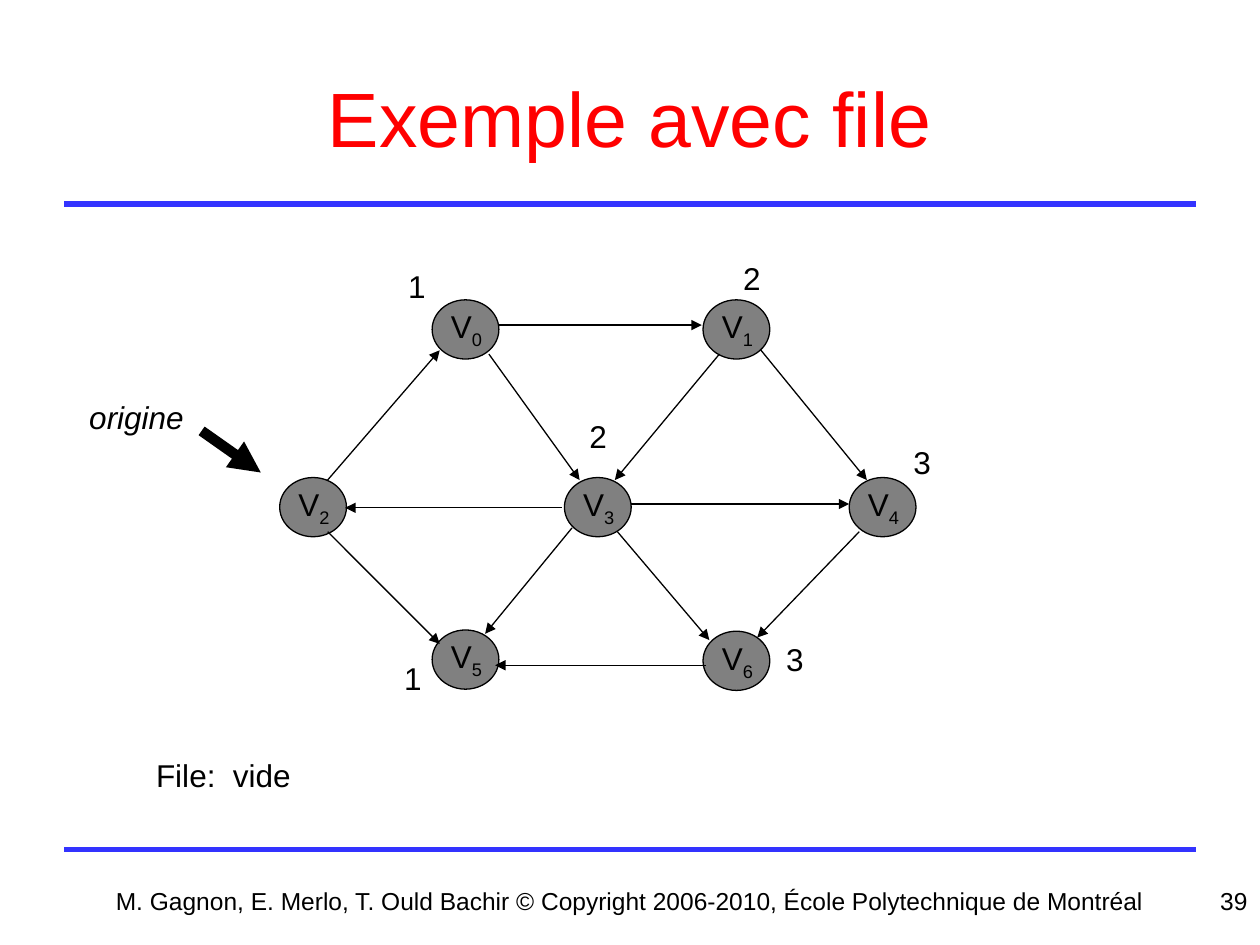
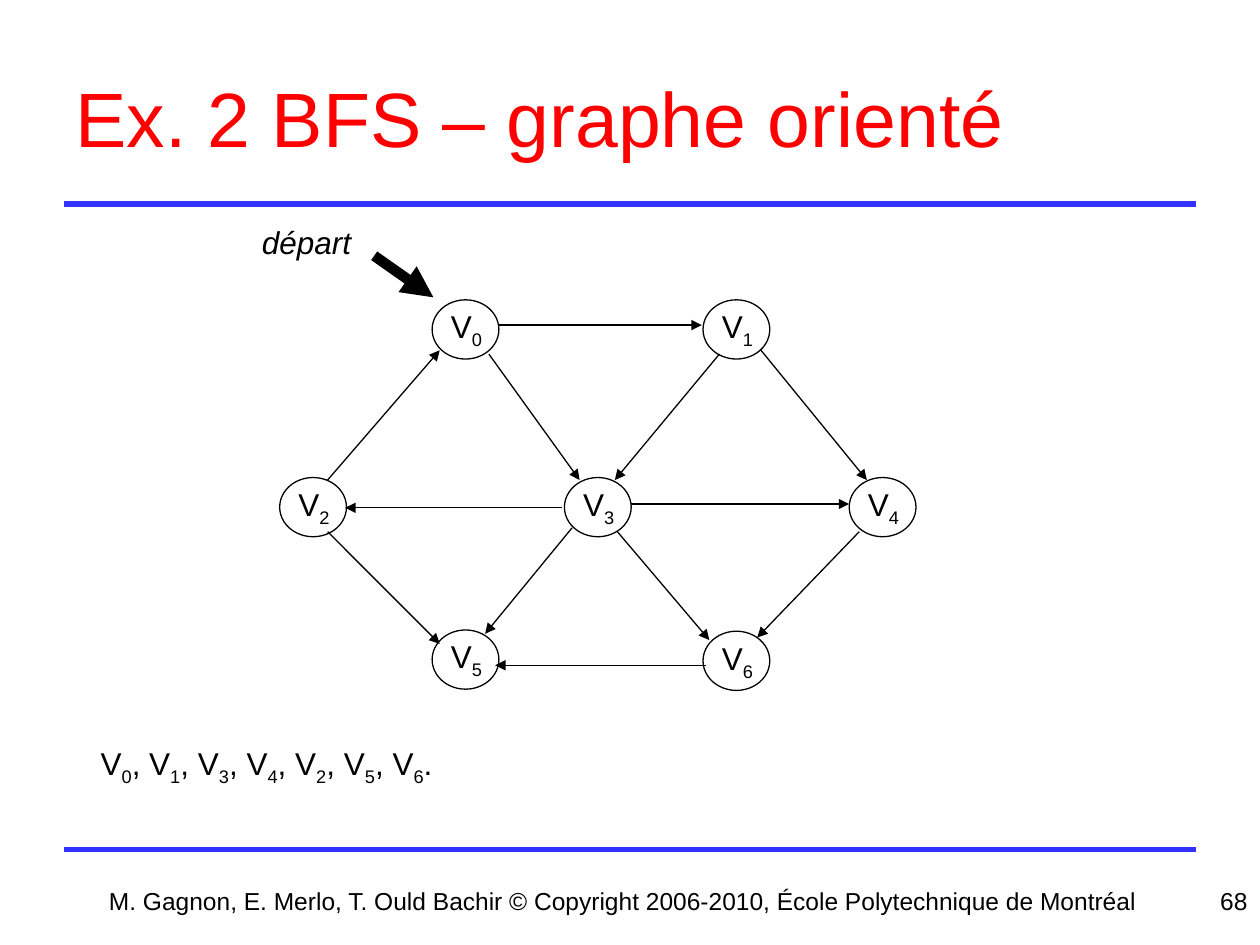
from lxml.etree import SubElement
from pptx import Presentation
from pptx.dml.color import RGBColor
from pptx.enum.shapes import MSO_CONNECTOR as Connector, MSO_SHAPE as Shape
from pptx.enum.text import MSO_ANCHOR as Anchor, MSO_AUTO_SIZE as AutoSize, PP_ALIGN as Align
from pptx.oxml.ns import qn
from pptx.util import Inches, Pt

# Shared look
FONT = "Arial"
BLACK = RGBColor(0x00, 0x00, 0x00)
RED = RGBColor(0xFF, 0x00, 0x00)
BLUE = RGBColor(0x33, 0x33, 0xFF)
GRAY = RGBColor(0x80, 0x80, 0x80)
COPYRIGHT = ("M. Gagnon, E. Merlo, T. Ould Bachir © Copyright 2006-2010, "
             "École Polytechnique de Montréal")

# Graph: top-left corner of each vertex, and ends of each directed edge
NODE_W, NODE_H = 0.53, 0.47
VERTICES = {
    0: (3.43, 2.38), 1: (5.58, 2.38), 3: (4.48, 3.79), 2: (2.22, 3.79),
    5: (3.43, 5.0), 6: (5.58, 5.01), 4: (6.74, 3.79),
}
EDGES = [
    ((3.96, 2.58), (5.57, 2.58)),  # V0 to V1
    ((6.04, 2.78), (6.88, 3.81)),  # V1 to V4
    ((6.82, 4.22), (6.01, 5.06)),  # V4 to V6
    ((5.60, 5.28), (3.93, 5.28)),  # V6 to V5
    ((2.60, 4.22), (3.49, 5.11)),  # V2 to V5
    ((2.60, 3.81), (3.49, 2.78)),  # V2 to V0
    ((3.88, 2.81), (4.60, 3.81)),  # V0 to V3
    ((4.90, 4.22), (5.63, 5.08)),  # V3 to V6
    ((5.71, 2.81), (4.88, 3.81)),  # V1 to V3
    ((4.54, 4.19), (3.85, 5.03)),  # V3 to V5
    ((5.01, 4.00), (6.74, 4.00)),  # V3 to V4
    ((4.46, 4.03), (2.74, 4.03)),  # V3 to V2
]

# What differs between the slides; "_" lowers the character that follows it
SLIDES = [
    dict(title="Exemple avec file", title_align=Align.CENTER, number="39",
         footer=(0, 10), vertex_fill=GRAY,
         start=("origine", (0.61, 3.11, 0.95, 0.4)), pointer=(1.6, 3.42),
         distances=[("1", 3.14, 2.07), ("1", 3.11, 5.18), ("2", 5.8, 2.01),
                    ("2", 4.58, 3.26), ("3", 7.15, 3.47), ("3", 6.14, 5.03)],
         result=("File:  vide", (1.14, 5.95, 2.62, 0.4))),
    dict(title="Ex. 2 BFS – graphe orienté", title_align=Align.LEFT, number="68",
         footer=(0.63, 8.63), vertex_fill=None,
         start=("départ", (1.98, 1.72, 0.91, 0.4)), pointer=(2.97, 2.03),
         distances=[],
         result=("V_0, V_1, V_3, V_4, V_2, V_5, V_6.", (0.7, 5.86, 4.06, 0.44))),
]


def add_text(shapes, text, box, size=18, color=BLACK, italic=False,
             align=Align.LEFT, anchor=Anchor.TOP, wrap=False, grow=True):
    frame = shapes.add_textbox(*map(Inches, box)).text_frame
    frame.word_wrap = wrap
    frame.auto_size = AutoSize.SHAPE_TO_FIT_TEXT if grow else AutoSize.NONE
    frame.vertical_anchor = anchor
    paragraph = frame.paragraphs[0]
    paragraph.alignment = align
    first, *lowered = text.split("_")
    pieces = [(first, False)]
    for piece in lowered:
        pieces += [(piece[0], True), (piece[1:], False)]
    for piece, is_subscript in pieces:
        if not piece:
            continue
        run = paragraph.add_run()
        run.text = piece
        run.font.name, run.font.size = FONT, Pt(size)
        run.font.color.rgb, run.font.italic = color, italic
        if is_subscript:
            run.font._element.set("baseline", "-25000")


def add_line(shapes, start, end, color=BLACK, width=0.75, arrow=True):
    line = shapes.add_connector(Connector.STRAIGHT, *map(Inches, (*start, *end)))
    line.line.color.rgb = color
    line.line.width = Pt(width)
    if arrow:
        SubElement(line.line._get_or_add_ln(), qn("a:tailEnd"), type="triangle")
    SubElement(line._element.spPr, qn("a:effectLst"))


prs = Presentation()
prs.slide_width, prs.slide_height = Inches(10), Inches(7.5)

for content in SLIDES:
    shapes = prs.slides.add_slide(prs.slide_layouts[6]).shapes

    # Rules, title and footer
    for y in (6.74, 1.62):
        add_line(shapes, (0.51, y), (9.49, y), color=BLUE, width=3, arrow=False)
    add_text(shapes, content["title"], (0.5, 0.3, 9, 1.25), size=44, color=RED,
             align=content["title_align"], anchor=Anchor.MIDDLE, wrap=True, grow=False)
    footer_left, footer_width = content["footer"]
    add_text(shapes, COPYRIGHT, (footer_left, 6.98, footer_width, 0.52), size=14,
             align=Align.CENTER, wrap=True, grow=False)
    add_text(shapes, content["number"], (7.67, 6.98, 2.33, 0.52), size=14,
             align=Align.RIGHT, wrap=True, grow=False)

    # Vertices with their labels
    for index, (x, y) in VERTICES.items():
        vertex = shapes.add_group_shape().shapes
        circle = vertex.add_shape(Shape.OVAL, *map(Inches, (x, y, NODE_W, NODE_H)))
        circle.shadow.inherit = False
        circle.line.color.rgb = BLACK
        circle.line.width = Pt(0.75)
        if content["vertex_fill"] is None:
            circle.fill.background()
        else:
            circle.fill.solid()
            circle.fill.fore_color.rgb = content["vertex_fill"]
        add_text(vertex, f"V_{index}", (x + 0.05, y + 0.01, 0.45, 0.44))

    # Edges, the first one slightly heavier
    for number, (tail, head) in enumerate(EDGES):
        add_line(shapes, tail, head, width=0.75 if number else 1)

    # Starting vertex
    pointer_x, pointer_y = content["pointer"]
    add_line(shapes, (pointer_x, pointer_y), (pointer_x + 0.47, pointer_y + 0.33), width=6)
    start_label, start_box = content["start"]
    add_text(shapes, start_label, start_box, italic=True)

    # Distances from the start, and the result line
    for distance, x, y in content["distances"]:
        add_text(shapes, distance, (x, y, 0.34, 0.4))
    result, result_box = content["result"]
    add_text(shapes, result, result_box, wrap=True)

prs.save("out.pptx")
